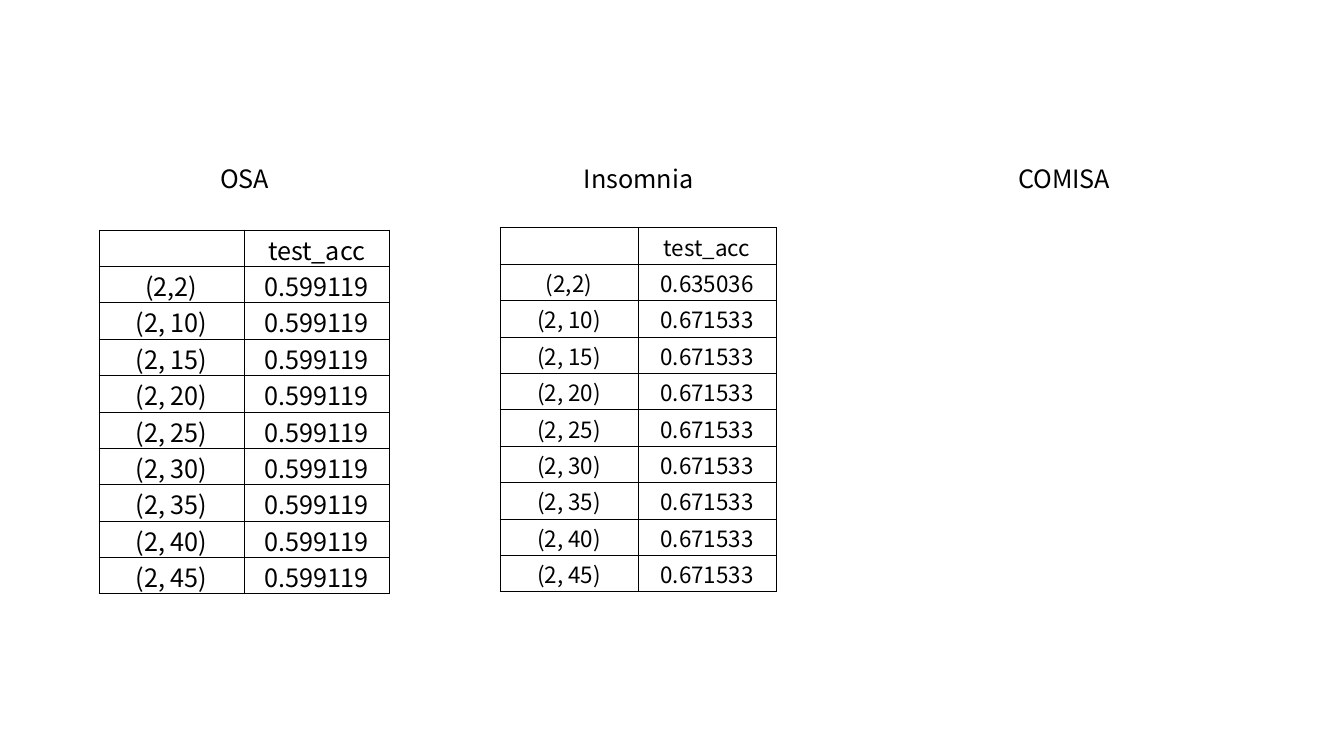
from dataclasses import dataclass
from lxml.etree import SubElement
from pptx import Presentation
from pptx.dml.color import RGBColor
from pptx.enum.text import MSO_ANCHOR, MSO_AUTO_SIZE, PP_ALIGN
from pptx.oxml.ns import qn
from pptx.util import Pt


@dataclass
class Theme:
    font: str = "Noto Sans CJK KR"
    ink: str = "000000"
    head: int = 18
    rule: float = 0.5


theme = Theme()


def style(para, size):
    para.alignment = PP_ALIGN.CENTER
    for run in para.runs:
        run.font.name = theme.font
        run.font.size = Pt(size)
        run.font.bold = False
        run.font.color.rgb = RGBColor.from_string(theme.ink)


def frame(cell):
    props = cell._tc.get_or_add_tcPr()
    for side in ("lnL", "lnR", "lnT", "lnB"):
        line = SubElement(props, qn(f"a:{side}"), w=str(Pt(theme.rule)))
        fill = SubElement(line, qn("a:solidFill"))
        SubElement(fill, qn("a:srgbClr"), val=theme.ink)


# Blank slide
deck = Presentation()
deck.slide_width, deck.slide_height = Pt(960), Pt(540)
slide = deck.slides.add_slide(deck.slide_layouts[6])

# Group labels
for name, left in (("OSA", 126.7), ("Insomnia", 408.2), ("COMISA", 712.1)):
    box = slide.shapes.add_textbox(Pt(left), Pt(113), Pt(96), Pt(29))
    text = box.text_frame
    text.word_wrap = True
    text.auto_size = MSO_AUTO_SIZE.SHAPE_TO_FIT_TEXT
    text.text = name
    style(text.paragraphs[0], theme.head)

# Accuracy tables: left, top, column width, text size, scores
pairs = ["(2,2)"] + [f"(2, {n})" for n in range(10, 50, 5)]
high = 26
tables = (
    (357.1, 162.7, 98.6, 16, ["0.635036"] + ["0.671533"] * 8),
    (70.6, 164.2, 103.7, 18, ["0.599119"] * 9),
)
for left, top, wide, size, scores in tables:
    rows = [("", "test_acc"), *zip(pairs, scores)]
    grid = slide.shapes.add_table(
        len(rows), 2, Pt(left), Pt(top), Pt(2 * wide), Pt(high * len(rows))
    ).table
    grid.first_row = grid.horz_banding = False
    for col in grid.columns:
        col.width = Pt(wide)
    for r, row in enumerate(rows):
        grid.rows[r].height = Pt(high)
        for c, value in enumerate(row):
            cell = grid.cell(r, c)
            cell.margin_left = cell.margin_right = cell.margin_top = Pt(0.7)
            cell.margin_bottom = 0
            cell.vertical_anchor = MSO_ANCHOR.MIDDLE
            frame(cell)
            cell.fill.background()
            cell.text_frame.text = value
            style(cell.text_frame.paragraphs[0], size)

deck.save("out.pptx")
